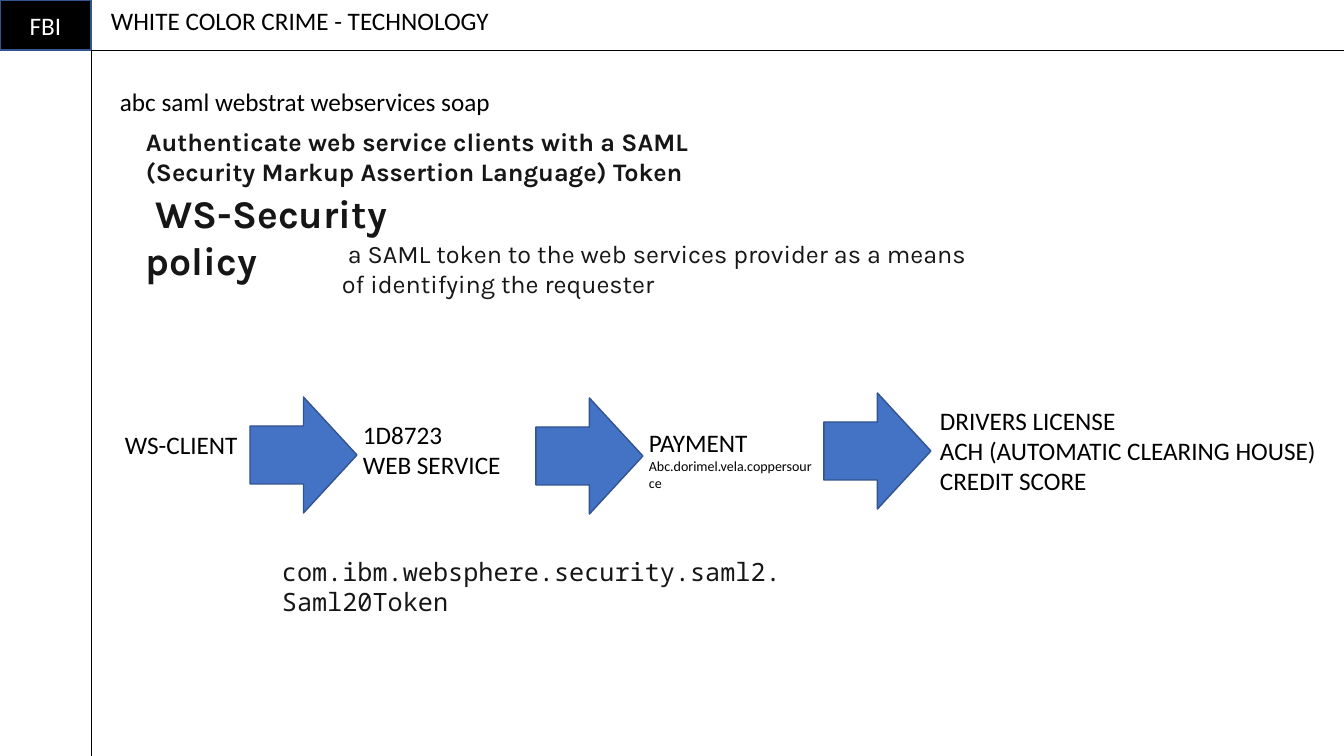
"""Builds a slide on web service tokens with a row of process arrows."""
from lxml import etree
from pptx import Presentation
from pptx.dml.color import RGBColor
from pptx.enum.shapes import MSO_CONNECTOR, MSO_SHAPE
from pptx.enum.text import MSO_ANCHOR, MSO_AUTO_SIZE, PP_ALIGN
from pptx.oxml.ns import qn
from pptx.util import Emu, Pt

RECTANGLE, RIGHT_ARROW = MSO_SHAPE.RECTANGLE, MSO_SHAPE.RIGHT_ARROW
STRAIGHT = MSO_CONNECTOR.STRAIGHT
TOP, MIDDLE = MSO_ANCHOR.TOP, MSO_ANCHOR.MIDDLE
LEFT, CENTER = PP_ALIGN.LEFT, PP_ALIGN.CENTER
GROW = MSO_AUTO_SIZE.SHAPE_TO_FIT_TEXT

EMU_PER_PX = 914400 / 100.8
PAGE_WIDTH, PAGE_HEIGHT = 1344, 756
RAIL_WIDTH, HEADER_HEIGHT = 91, 50
ARROW_WIDTH, ARROW_HEIGHT = 107, 116
COLORS = {
    "black": "000000",
    "white": "FFFFFF",
    "ink": "161616",
    "arrow": "4472C4",
    "edge": "325491",
}
KARLA = {"font": "Karla", "color": "ink"}
MONO = {"font": "Noto Sans Mono", "color": "ink"}


def px(*lengths):
    """Turn pixel lengths into a list of EMU lengths."""
    return [Emu(round(length * EMU_PER_PX)) for length in lengths]


def rgb(name):
    """Look up a named colour."""
    return RGBColor.from_string(COLORS[name])


def write(para, text, *, font="Calibri", size=18, color="black", bold=False, align=LEFT):
    """Put one formatted span of text into a paragraph."""
    para.alignment = align
    span = para.add_run()
    span.text = text
    span.font.name = font
    span.font.size = Pt(size)
    span.font.bold = bold
    span.font.color.rgb = rgb(color)


def add_text(page, lines, place, *, wrap=False, caption_size=None, **style):
    """Add a text box with a paragraph per line, the last one maybe smaller."""
    frame = page.shapes.add_textbox(*px(*place)).text_frame
    frame.word_wrap = wrap
    frame.auto_size = GROW
    frame.vertical_anchor = TOP
    for index, line in enumerate(lines):
        para = frame.add_paragraph() if index else frame.paragraphs[0]
        is_caption = caption_size and index == len(lines) - 1
        write(para, line, **(style | {"size": caption_size} if is_caption else style))


def add_block(page, kind, place, fill):
    """Add a filled preset shape with a blue edge."""
    block = page.shapes.add_shape(kind, *px(*place))
    block.shadow.inherit = False
    block.fill.solid()
    block.fill.fore_color.rgb = rgb(fill)
    block.line.color.rgb = rgb("edge")
    block.line.width = Pt(1)
    return block


def add_rule(page, *ends):
    """Add a thin black line between two points."""
    rule = page.shapes.add_connector(STRAIGHT, *px(*ends))
    rule.line.color.rgb = rgb("black")
    rule.line.width = Pt(0.5)
    etree.SubElement(rule._element.spPr, qn("a:effectLst"))


def add_header(page):
    """Add the frame rules, the agency tag and the slide heading."""
    add_rule(page, RAIL_WIDTH, 0, RAIL_WIDTH, PAGE_HEIGHT)
    tag = add_block(page, RECTANGLE, (0, 0, RAIL_WIDTH, HEADER_HEIGHT), "black")
    tag.text_frame.vertical_anchor = MIDDLE
    write(tag.text_frame.paragraphs[0], "FBI", color="white", align=CENTER)
    add_text(page, ["WHITE COLOR CRIME - TECHNOLOGY"], (101, 0, 402, 40))
    add_rule(page, RAIL_WIDTH, HEADER_HEIGHT, PAGE_WIDTH, HEADER_HEIGHT)


def add_notes_on_tokens(page):
    """Add the text about tokens and the security policy."""
    add_text(page, ["abc saml webstrat webservices soap"], (110, 81, 408, 40))
    add_text(page, ["Authenticate web service clients with a SAML "
                    "(Security Markup Assertion Language) Token"],
             (136, 121, 672, 72), wrap=True, bold=True, **KARLA)
    add_text(page, [" a SAML token to the web services provider as a means "
                    "of identifying the requester"],
             (332, 233, 672, 72), wrap=True, **KARLA)
    add_text(page, [" WS-Security policy"], (136, 184, 335, 57),
             wrap=True, size=28, bold=True, **KARLA)
    add_text(page, ["com.ibm.websphere.security.saml2.Saml20Token"],
             (272, 551, 527, 40), wrap=True, **MONO)


def add_process(page):
    """Add the arrows and the steps between them."""
    for left, top in ((250, 397), (536, 398), (824, 393)):
        add_block(page, RIGHT_ARROW, (left, top, ARROW_WIDTH, ARROW_HEIGHT), "arrow")
    add_text(page, ["WS-CLIENT"], (115, 424, 134, 40))
    add_text(page, ["1D8723", "WEB SERVICE"], (353, 414, 165, 72), wrap=True)
    add_text(page, ["PAYMENT", "Abc.dorimel.vela.coppersource"],
             (639, 422, 188, 57), caption_size=10)
    add_text(page, ["DRIVERS LICENSE", "ACH (AUTOMATIC CLEARING HOUSE)", "CREDIT SCORE"],
             (930, 400, 400, 102))


def main():
    """Build the deck and save it."""
    deck = Presentation()
    deck.slide_width, deck.slide_height = px(PAGE_WIDTH, PAGE_HEIGHT)
    page = deck.slides.add_slide(deck.slide_layouts[6])
    add_header(page)
    add_notes_on_tokens(page)
    add_process(page)
    deck.save("out.pptx")


if __name__ == "__main__":
    main()
